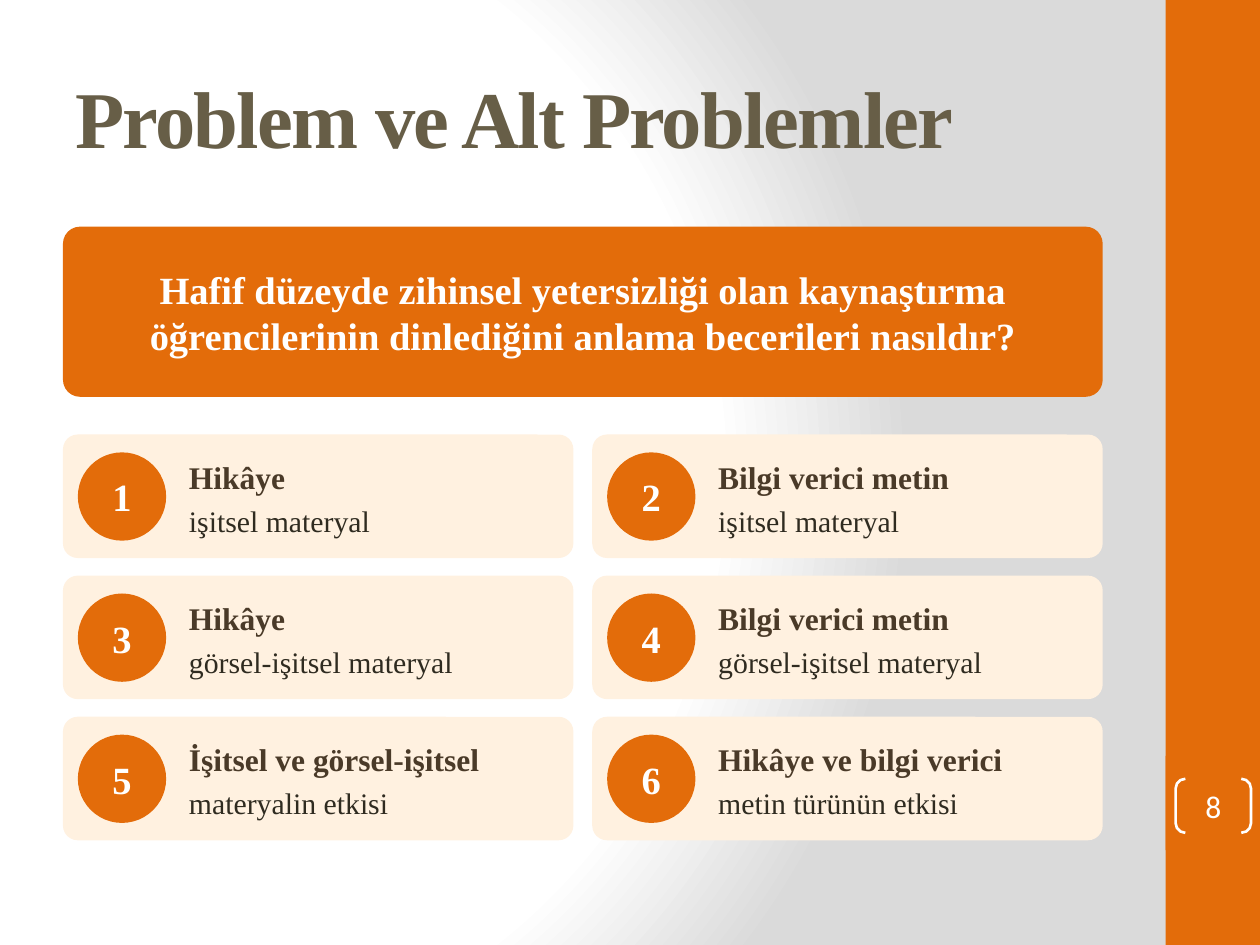
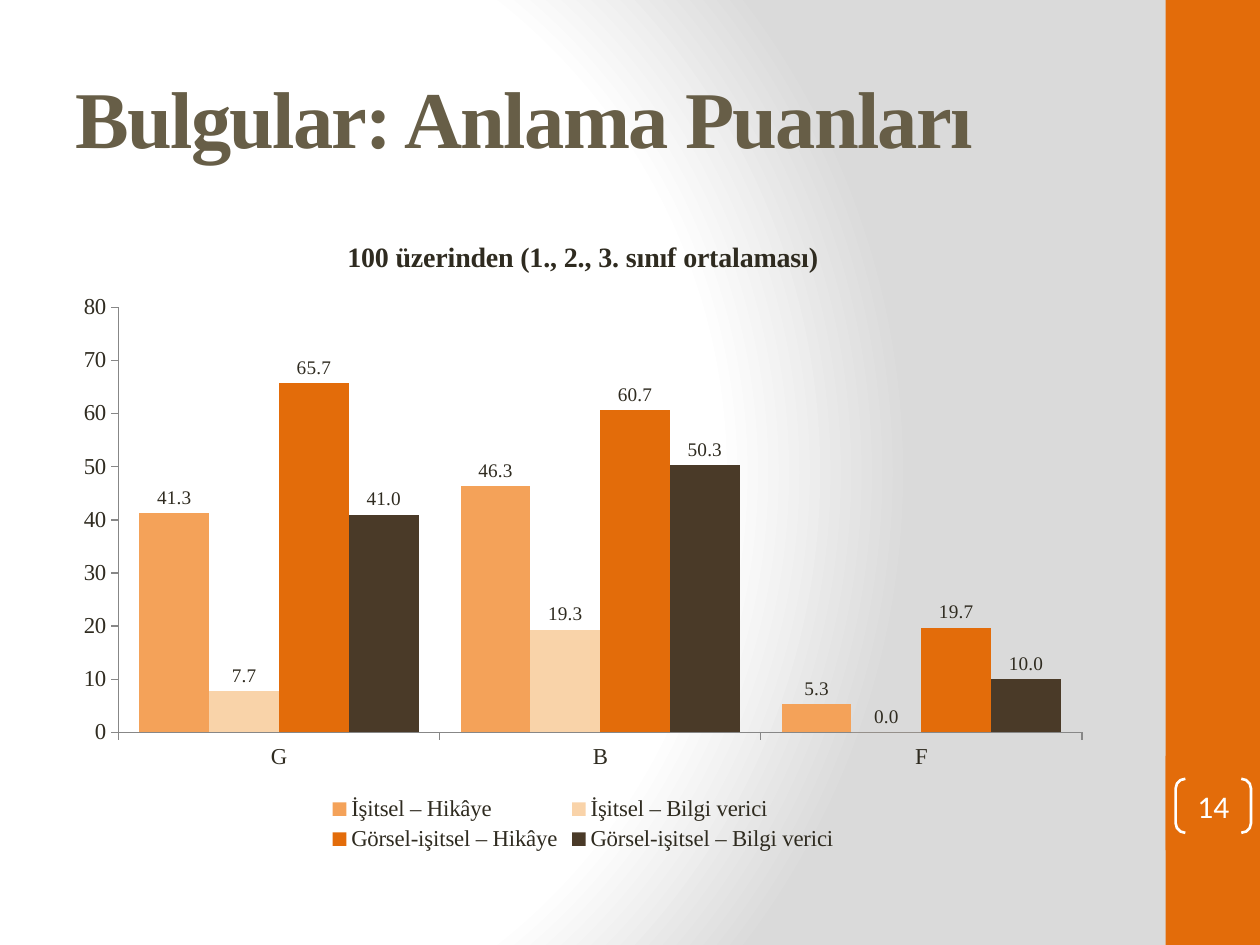
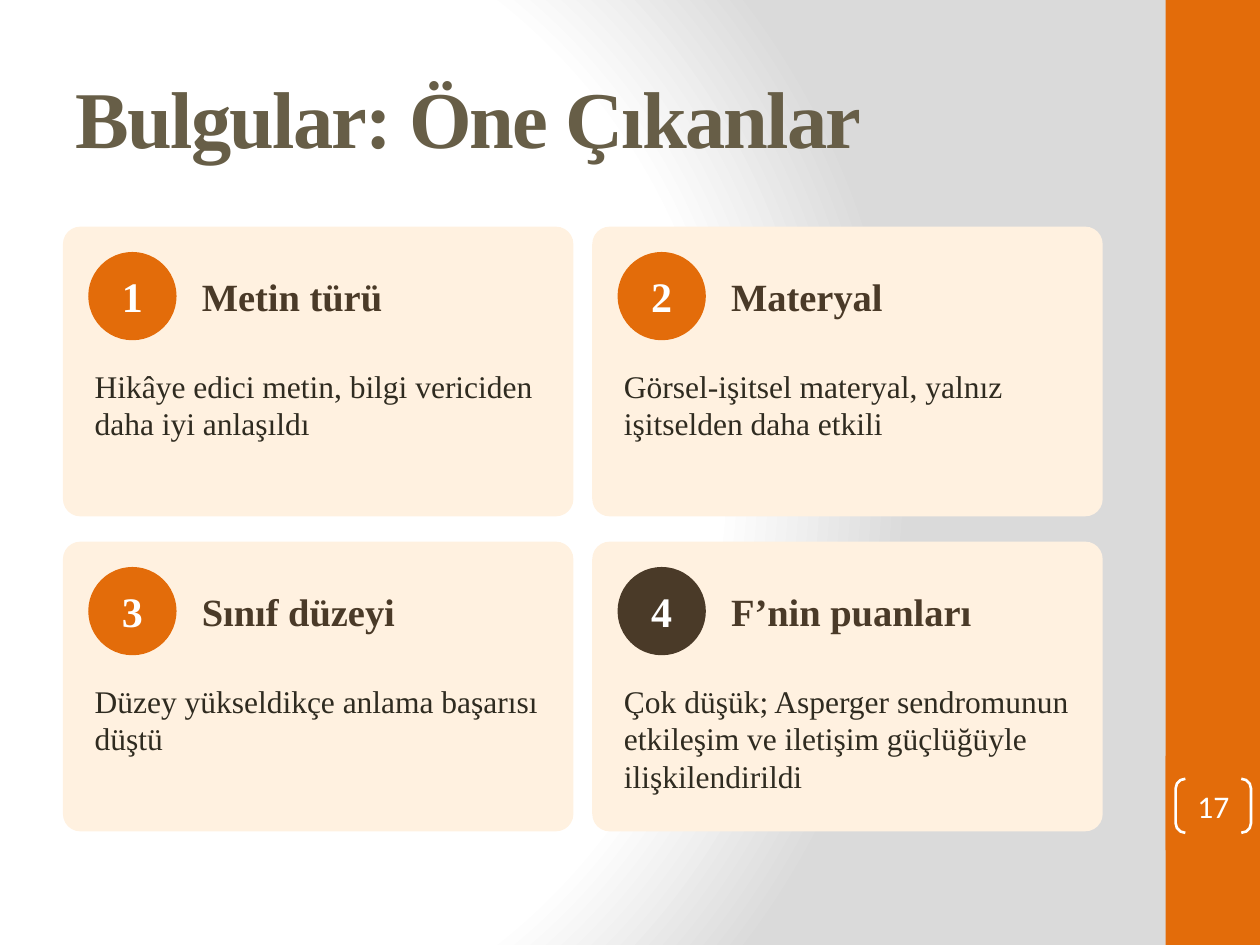
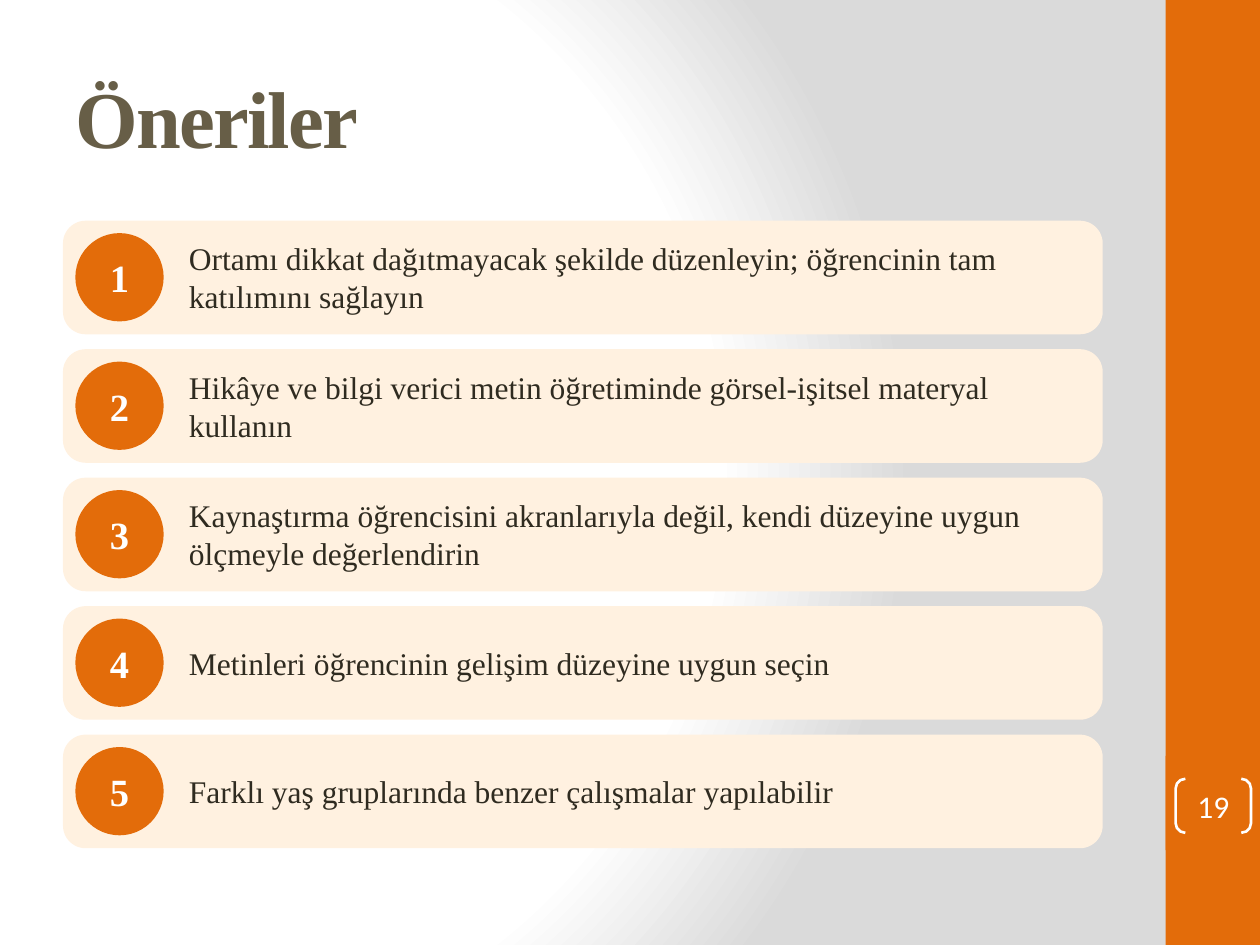
from dataclasses import dataclass

from pptx import Presentation
from pptx.chart import data as chart_data
from pptx.dml import color
from pptx.enum import chart as chart_enum
from pptx.enum import shapes, text
from pptx.oxml import ns, parse_xml
from pptx.util import Cm, Pt


@dataclass(frozen=True)
class Theme:
    orange: str = "E36C0A"
    cream: str = "FFF1E0"
    brown: str = "4A3A28"
    ink: str = "2F2B20"
    white: str = "FFFFFF"
    grey: str = "DADADA"
    axis: str = "878787"
    title: str = "675E47"
    light_orange: str = "F4A259"
    pale_orange: str = "F9D3A9"
    serif: str = "Times New Roman"
    sans: str = "Calibri"
    title_size: int = 46
    badge_size: int = 22
    heading_size: int = 22
    body_size: int = 18
    detail_size: int = 17
    chart_title_size: int = 16
    chart_size: int = 13
    label_size: int = 11


theme = Theme()
rgb = color.RGBColor.from_string
Kind = shapes.MSO_SHAPE

# Shared grid, in centimetres
LEFT, CONTENT_WIDTH = 1.27, 20.96
COLUMN_STEP, CARD_WIDTH = 10.67, 10.29
BADGE = 1.78


def start_slide(title):
    slide = presentation.slides.add_slide(presentation.slide_layouts.get_by_name("Title Only"))
    shape = slide.shapes.title
    shape.left, shape.top, shape.width, shape.height = Cm(LEFT), Cm(0.76), Cm(21.16), Cm(3.18)
    frame = shape.text_frame
    frame.text = title
    frame.auto_size = text.MSO_AUTO_SIZE.NONE
    frame.vertical_anchor = text.MSO_ANCHOR.MIDDLE
    paragraph = frame.paragraphs[0]
    paragraph.alignment = text.PP_ALIGN.LEFT
    font = paragraph.runs[0].font
    font.name, font.size, font.bold = theme.serif, Pt(theme.title_size), True
    font.color.rgb = rgb(theme.title)
    paragraph.runs[0].font._element.set("spc", "-100")
    return slide


def add_box(slide, box, lines=(), kind=None, fill=None, radius=None, centred=False,
            inset=(0.13, 0.15), anchor=text.MSO_ANCHOR.MIDDLE, face=theme.serif, after=4):
    """Add a shape, or a text box if kind is None; lines hold (text, size, colour, bold)."""
    position = [Cm(length) for length in box]
    if kind is None:
        shape = slide.shapes.add_textbox(*position)
    else:
        shape = slide.shapes.add_shape(kind, *position)
        shape.shadow.inherit = False
        shape.line.fill.background()
        if fill:
            shape.fill.solid()
            shape.fill.fore_color.rgb = rgb(fill)
        else:
            shape.fill.background()
        if radius is not None:
            shape.adjustments[0] = radius
    if not lines:
        return shape

    frame = shape.text_frame
    frame.text = "\n".join(line[0] for line in lines)
    frame.word_wrap = True
    frame.vertical_anchor = anchor
    frame.margin_left = frame.margin_right = Cm(inset[0])
    frame.margin_top = frame.margin_bottom = Cm(inset[1])
    for paragraph, (_, size, ink, bold) in zip(frame.paragraphs, lines):
        paragraph.alignment = text.PP_ALIGN.CENTER if centred else text.PP_ALIGN.LEFT
        paragraph.space_after = Pt(after)
        font = paragraph.runs[0].font
        font.name, font.size, font.bold = face, Pt(size), bold
        font.color.rgb = rgb(ink)
    return shape


presentation = Presentation()
presentation.slide_width, presentation.slide_height = Cm(25.4), Cm(19.05)
badge_style = dict(kind=Kind.OVAL, centred=True, inset=(0.05, 0.15))

# Master background: white fading to grey on the right
master = presentation.slide_master
master.background.fill.solid()
background = master.element.find(".//" + ns.qn("p:bgPr"))
stops = "".join(
    f'<a:gs pos="{place}000"><a:srgbClr val="{shade}"/></a:gs>'
    for place, shade in ((0, theme.white), (75, theme.white), (100, theme.grey)))
background.replace(background[0], parse_xml(
    f'<a:gradFill {ns.nsdecls("a")} rotWithShape="1"><a:gsLst>{stops}</a:gsLst>'
    '<a:path path="circle"><a:fillToRect l="20000" t="50000" r="100000" b="50000"/></a:path>'
    '</a:gradFill>'))

# Slide 1: main question and sub-problems
problems = start_slide("Problem ve Alt Problemler")

# Side band and page number field belong to the master
for order, (top, height) in enumerate(((0, 19.05), (15.24, 1.9))):
    band = add_box(problems, (23.5, top, 1.9, height), kind=Kind.RECTANGLE, fill=theme.orange)
    band.element.nvSpPr.cNvPr.id = 101 + order
    master.shapes.element.insert(2 + order, band.element)

question = ("Hafif düzeyde zihinsel yetersizliği olan kaynaştırma öğrencilerinin "
            "dinlediğini anlama becerileri nasıldır?")
add_box(problems, (LEFT, 4.57, CONTENT_WIDTH, 3.43),
        [(question, theme.heading_size, theme.white, True)],
        kind=Kind.ROUNDED_RECTANGLE, fill=theme.orange, radius=0.1, centred=True,
        inset=(0.3, 0.15))

sub_problems = [
    ("Hikâye", "işitsel materyal"),
    ("Bilgi verici metin", "işitsel materyal"),
    ("Hikâye", "görsel-işitsel materyal"),
    ("Bilgi verici metin", "görsel-işitsel materyal"),
    ("İşitsel ve görsel-işitsel", "materyalin etkisi"),
    ("Hikâye ve bilgi verici", "metin türünün etkisi"),
]
for index, (heading, detail) in enumerate(sub_problems):
    row, column = divmod(index, 2)
    left, top = LEFT + column * COLUMN_STEP, 8.76 + row * 2.845
    add_box(problems, (left, top, CARD_WIDTH, 2.49),
            kind=Kind.ROUNDED_RECTANGLE, fill=theme.cream, radius=0.12)
    add_box(problems, (left + 0.3, top + 0.36, BADGE, BADGE),
            [(str(index + 1), theme.badge_size, theme.white, True)],
            fill=theme.orange, **badge_style)
    add_box(problems, (left + 2.41, top + 0.2, 7.75, 2.16),
            [(heading, theme.body_size, theme.brown, True),
             (detail, theme.detail_size, theme.ink, False)])

# Slide 2: comprehension scores
scores = start_slide("Bulgular: Anlama Puanları")
series_rows = [
    ("İşitsel – Hikâye", (41.3, 46.3, 5.3), theme.light_orange),
    ("İşitsel – Bilgi verici", (7.7, 19.3, 0), theme.pale_orange),
    ("Görsel-işitsel – Hikâye", (65.7, 60.7, 19.7), theme.orange),
    ("Görsel-işitsel – Bilgi verici", (41, 50.3, 10), theme.brown),
]
score_data = chart_data.CategoryChartData()
score_data.categories = ["G", "B", "F"]
for name, values, _ in series_rows:
    score_data.add_series(name, values)
chart = scores.shapes.add_chart(
    chart_enum.XL_CHART_TYPE.COLUMN_CLUSTERED,
    Cm(LEFT), Cm(4.32), Cm(CONTENT_WIDTH), Cm(12.95), score_data).chart
chart.font.name, chart.font.size = theme.serif, Pt(theme.chart_size)
chart.font.color.rgb = rgb(theme.ink)

chart.has_title = True
chart.chart_title.text_frame.text = "100 üzerinden (1., 2., 3. sınıf ortalaması)"
title_font = chart.chart_title.text_frame.paragraphs[0].runs[0].font
title_font.name, title_font.size, title_font.bold = theme.serif, Pt(theme.chart_title_size), True
title_font.color.rgb = rgb(theme.ink)

chart.has_legend = True
chart.legend.position = chart_enum.XL_LEGEND_POSITION.BOTTOM
chart.legend.include_in_layout = False

for axis in (chart.category_axis, chart.value_axis):
    axis.has_major_gridlines = False
    axis.major_tick_mark = chart_enum.XL_TICK_MARK.OUTSIDE
    axis.format.line.color.rgb = rgb(theme.axis)
chart.value_axis.minimum_scale, chart.value_axis.maximum_scale = 0, 80
chart.value_axis.major_unit = 10

plot = chart.plots[0]
plot.gap_width, plot.overlap, plot.vary_by_categories = 60, 0, False
for series, (_, _, fill) in zip(plot.series, series_rows):
    series.format.fill.solid()
    series.format.fill.fore_color.rgb = rgb(fill)
    labels = series.data_labels
    labels.show_value = True
    labels.position = chart_enum.XL_LABEL_POSITION.OUTSIDE_END
    labels.number_format, labels.number_format_is_linked = "0.0", False
    labels.font.name, labels.font.size = theme.serif, Pt(theme.label_size)
    labels.font.color.rgb = rgb(theme.ink)

# Slide 3: key findings
findings = start_slide("Bulgular: Öne Çıkanlar")
finding_rows = [
    ("Metin türü", "Hikâye edici metin, bilgi vericiden daha iyi anlaşıldı", theme.orange),
    ("Materyal", "Görsel-işitsel materyal, yalnız işitselden daha etkili", theme.orange),
    ("Sınıf düzeyi", "Düzey yükseldikçe anlama başarısı düştü", theme.orange),
    ("F’nin puanları", "Çok düşük; Asperger sendromunun etkileşim ve iletişim güçlüğüyle "
     "ilişkilendirildi", theme.brown),
]
for index, (heading, finding, badge_fill) in enumerate(finding_rows):
    row, column = divmod(index, 2)
    left, top = LEFT + column * COLUMN_STEP, 4.57 + row * 6.35
    add_box(findings, (left, top, CARD_WIDTH, 5.84),
            kind=Kind.ROUNDED_RECTANGLE, fill=theme.cream, radius=0.06)
    add_box(findings, (left + 0.51, top + 0.51, BADGE, BADGE),
            [(str(index + 1), 24, theme.white, True)], fill=badge_fill, **badge_style)
    add_box(findings, (left + 2.67, top + 0.51, 7.37, BADGE),
            [(heading, theme.heading_size, theme.brown, True)])
    add_box(findings, (left + 0.51, top + 2.67, 9.4, 3.05),
            [(finding, theme.body_size, theme.ink, False)], anchor=text.MSO_ANCHOR.TOP)

# Slide 4: recommendations
recommendations = start_slide("Öneriler")
advice_rows = [
    "Ortamı dikkat dağıtmayacak şekilde düzenleyin; öğrencinin tam katılımını sağlayın",
    "Hikâye ve bilgi verici metin öğretiminde görsel-işitsel materyal kullanın",
    "Kaynaştırma öğrencisini akranlarıyla değil, kendi düzeyine uygun ölçmeyle değerlendirin",
    "Metinleri öğrencinin gelişim düzeyine uygun seçin",
    "Farklı yaş gruplarında benzer çalışmalar yapılabilir",
]
for index, advice in enumerate(advice_rows):
    top = 4.45 + index * 2.59
    add_box(recommendations, (LEFT, top, CONTENT_WIDTH, 2.29),
            kind=Kind.ROUNDED_RECTANGLE, fill=theme.cream, radius=0.2)
    add_box(recommendations, (LEFT + 0.25, top + 0.25, BADGE, BADGE),
            [(str(index + 1), theme.badge_size, theme.white, True)],
            fill=theme.orange, **badge_style)
    add_box(recommendations, (LEFT + 2.41, top + 0.05, 18.29, 2.18),
            [(advice, theme.body_size, theme.ink, False)])

# Page numbers in brackets on the side band
for slide, number in zip(presentation.slides, (8, 14, 17, 19)):
    bracket = add_box(slide, (23.7, 15.7, 1.52, 1.09),
                      [(str(number), theme.body_size, theme.white, False)],
                      kind=Kind.DOUBLE_BRACKET, radius=0.18, centred=True,
                      inset=(0, 0), face=theme.sans, after=0)
    bracket.line.color.rgb = rgb(theme.white)
    bracket.line.width = Pt(1.5)

presentation.save("out.pptx")
